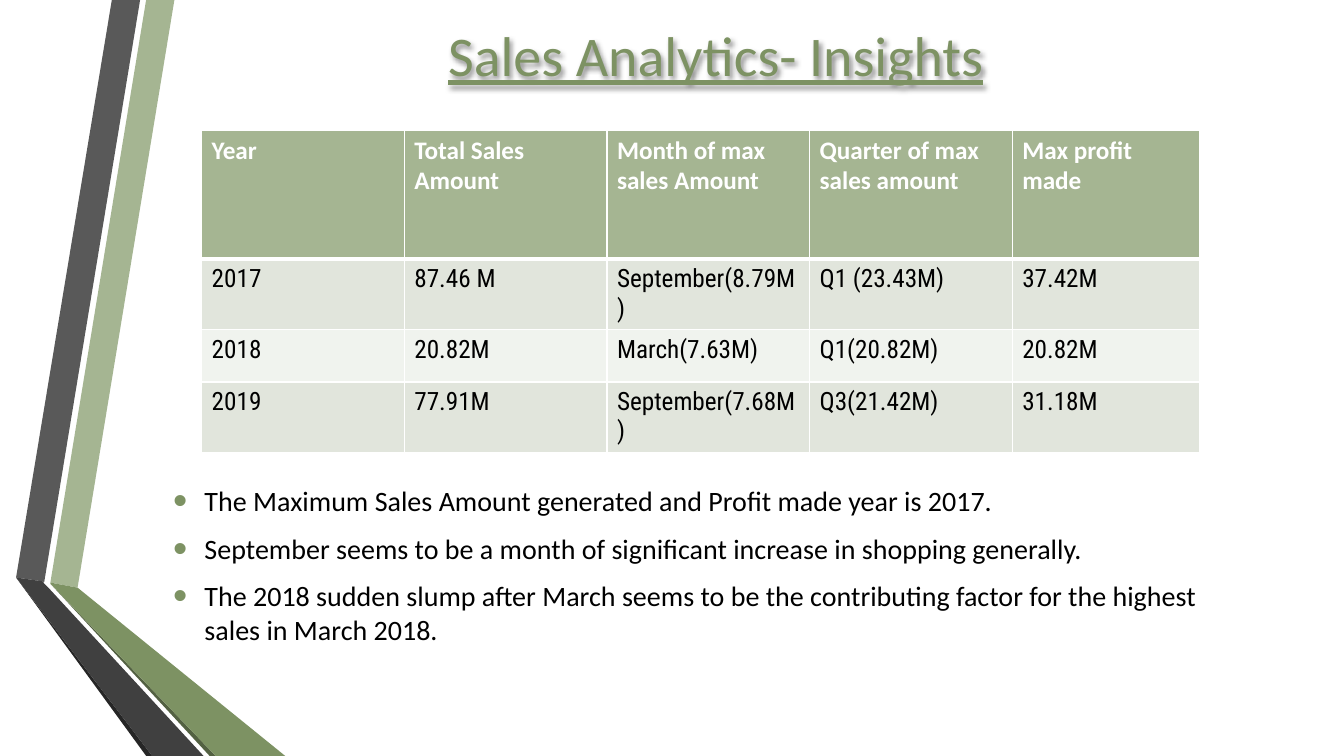
from lxml import etree
from pptx import Presentation
from pptx import util as u
from pptx.dml.color import RGBColor
from pptx.enum import text
from pptx.oxml import ns

EMU_PER_PX = 9144  # 100 px to the inch
FONT = "Calibri"
TABLE_FONT = "Roboto Condensed"
WHITE, BLACK = "FFFFFF", "000000"
SAGE, GREEN = "A5B592", "7D9263"
BANDS = ("E1E5DC", "F0F3EE")

RIBBONS = [
    (SAGE, [(50, 578), (77, 583), (173, 0), (145, 0)]),
    ("595959", [(139, 0), (111, 0), (16, 573), (44, 577)]),
    ("262626", [(16, 573), (145, 750), (151, 750)]),
    ("536142", [(50, 579), (208, 750), (214, 750)]),
    (GREEN, [(50, 578), (50, 579), (214, 750), (283, 750), (77, 583)]),
    ("404040", [(202, 750), (48, 583), (43, 578), (44, 577), (16, 573), (151, 750)]),
]

COLUMN_WIDTHS = [201, 201, 201, 201, 186]
ROW_HEIGHTS = [128, 52, 52, 52]
SALES = [
    ["Year", "Total Sales Amount", "Month of max sales Amount",
     "Quarter of max sales amount", "Max profit made"],
    ["2017", "87.46 M", "September(8.79M)", "Q1 (23.43M)", "37.42M"],
    ["2018", "20.82M", "March(7.63M)", "Q1(20.82M)", "20.82M"],
    ["2019", "77.91M", "September(7.68M)", "Q3(21.42M)", "31.18M"],
]

INSIGHTS = [
    "The Maximum Sales Amount generated and Profit made year is 2017.",
    "September seems to be a month of significant increase in shopping generally.",
    "The 2018 sudden slump after March seems to be the contributing factor "
    "for the highest sales in March 2018.",
]


def px(length):
    return u.Emu(length * EMU_PER_PX)


def rgb(colour):
    return RGBColor.from_string(colour)


def add_xml(parent, tag, **attributes):
    return etree.SubElement(parent, ns.qn(tag), attributes)


def add_run(paragraph, words, size, colour, font=FONT, bold=False):
    run = paragraph.add_run()
    run.text = words
    run.font.size = u.Pt(size)
    run.font.name = font
    run.font.bold = bold
    run.font.color.rgb = rgb(colour)
    return run


def add_text_box(slide, left, top, width, height, anchor):
    box = slide.shapes.add_textbox(px(left), px(top), px(width), px(height))
    box.text_frame.word_wrap = True
    box.text_frame.vertical_anchor = anchor
    return box


def add_ribbon(slide, colour, points):
    builder = slide.shapes.build_freeform(*points[0], scale=EMU_PER_PX)
    builder.add_line_segments(points[1:], close=True)
    shape = builder.convert_to_shape()
    shape.shadow.inherit = False
    shape.fill.solid()
    shape.fill.fore_color.rgb = rgb(colour)
    shape.line.fill.background()


def add_soft_shadow(shape):
    effects = add_xml(shape._element.spPr, "a:effectLst")
    shadow = add_xml(effects, "a:outerShdw", blurRad=str(u.Pt(4)),
                     dist=str(u.Pt(2)), dir="2700000", algn="tl", rotWithShape="0")
    black = add_xml(shadow, "a:srgbClr", val=BLACK)
    add_xml(black, "a:alpha", val="45000")


def add_title(slide, words):
    box = add_text_box(slide, 162, 0, 1096, 108, text.MSO_ANCHOR.MIDDLE)
    paragraph = box.text_frame.paragraphs[0]
    paragraph.alignment = text.PP_ALIGN.CENTER
    add_run(paragraph, words, 40, GREEN).font.underline = True
    add_soft_shadow(box)


def set_border(cell, side, points):
    """Draw one white cell edge; side is L, R, T or B."""
    line = etree.Element(ns.qn("a:ln" + side), w=str(u.Pt(points)))
    add_xml(add_xml(line, "a:solidFill"), "a:srgbClr", val=WHITE)
    properties = cell._tc.get_or_add_tcPr()
    properties.insert("LRTB".index(side), line)


def add_sales_table(slide):
    frame = slide.shapes.add_table(
        len(SALES), len(COLUMN_WIDTHS), px(200), px(129),
        px(sum(COLUMN_WIDTHS)), px(sum(ROW_HEIGHTS)))
    table = frame.table
    for column, width in zip(table.columns, COLUMN_WIDTHS):
        column.width = px(width)
    for row_index, (row, height) in enumerate(zip(table.rows, ROW_HEIGHTS)):
        row.height = px(height)
        is_header = row_index == 0
        for cell, words in zip(row.cells, SALES[row_index]):
            cell.fill.solid()
            fill = SAGE if is_header else BANDS[(row_index - 1) % 2]
            cell.fill.fore_color.rgb = rgb(fill)
            add_run(cell.text_frame.paragraphs[0], words, 18,
                    WHITE if is_header else BLACK,
                    FONT if is_header else TABLE_FONT, is_header)
            for side in "LRTB":
                under_header = (row_index, side) in [(0, "B"), (1, "T")]
                set_border(cell, side, 3 if under_header else 1)


def set_bullet(paragraph):
    properties = paragraph._p.get_or_add_pPr()
    properties.set("marL", str(px(31)))
    properties.set("indent", str(px(-31)))
    add_xml(add_xml(properties, "a:buClr"), "a:srgbClr", val=GREEN)
    add_xml(properties, "a:buSzPct", val="145000")
    add_xml(properties, "a:buFont", typeface="Arial")
    add_xml(properties, "a:buChar", char="•")


def add_insights(slide):
    box = add_text_box(slide, 162, 475, 1096, 180, text.MSO_ANCHOR.TOP)
    frame = box.text_frame
    for index, words in enumerate(INSIGHTS):
        paragraph = frame.add_paragraph() if index else frame.paragraphs[0]
        paragraph.space_before = u.Pt(4)
        paragraph.space_after = u.Pt(6)
        set_bullet(paragraph)
        add_run(paragraph, words, 20, BLACK)


def main():
    presentation = Presentation()
    presentation.slide_width = px(1333)
    presentation.slide_height = px(750)
    slide = presentation.slides.add_slide(presentation.slide_layouts[6])
    for colour, points in RIBBONS:
        add_ribbon(slide, colour, points)
    add_title(slide, "Sales Analytics- Insights")
    add_insights(slide)
    add_sales_table(slide)
    presentation.save("out.pptx")


if __name__ == "__main__":
    main()
